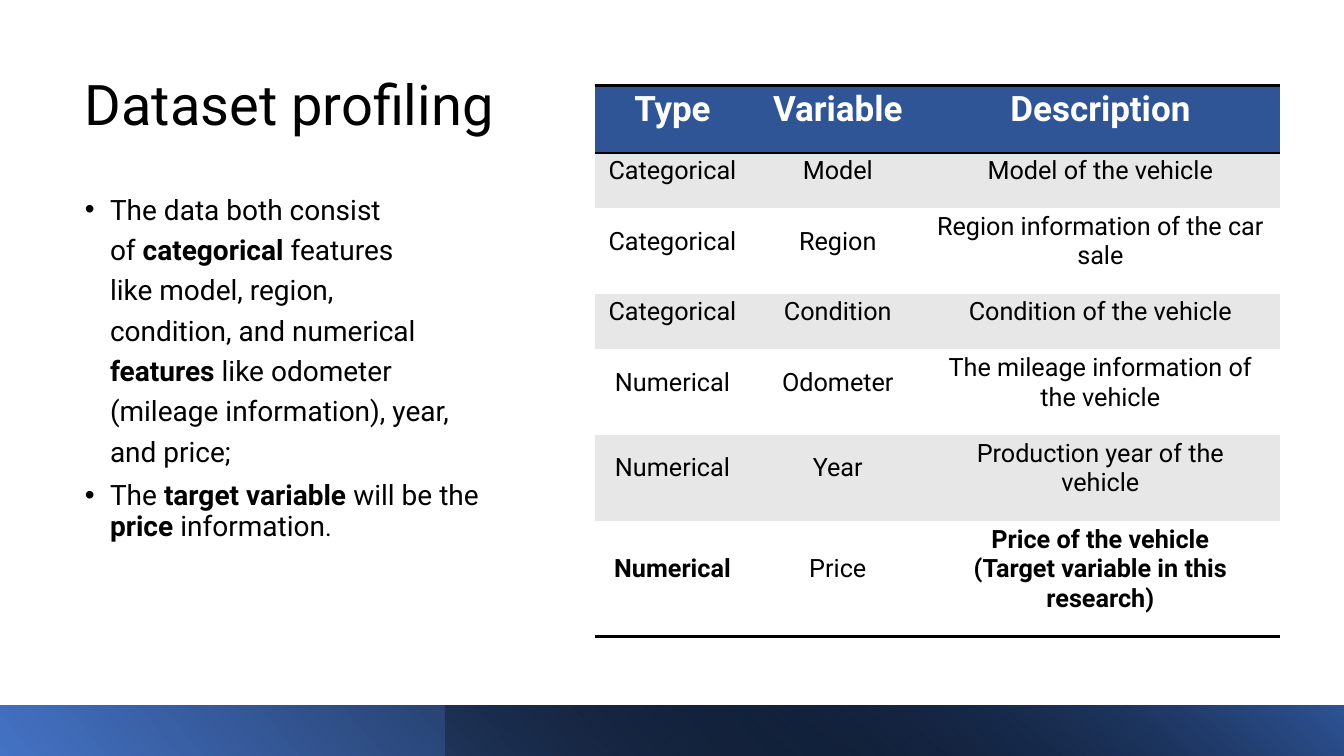
"""Build the dataset profiling slide: title, bullets, variable table and footer bars."""
from lxml import etree
from pptx import Presentation
from pptx.dml.color import RGBColor
from pptx.enum import shapes, text
from pptx.oxml import ns
from pptx.util import Pt

BLACK = RGBColor(0x00, 0x00, 0x00)
WHITE = RGBColor(0xFF, 0xFF, 0xFF)
NAVY = RGBColor(0x2F, 0x55, 0x97)
BLUE = RGBColor(0x44, 0x72, 0xC4)
GREY = RGBColor(0xE7, 0xE7, 0xE7)
FONT = "Roboto"
NBSP = chr(160)
NO_STYLE = "{2D5ABB26-0587-4C30-8999-92F81FD0307C}"

BULLETS = [
    (1.2, [(f"The data both consist of{NBSP}", False), ("categorical ", True),
           (f"features like{NBSP}model, region, condition,{NBSP}and numerical ", False),
           ("features", True),
           (f" like{NBSP}odometer (mileage{NBSP}information), year, and{NBSP}price;", False)]),
    (0.9, [("The ", False), ("target variable", True), (f"{NBSP}will be the ", False),
           (f"price{NBSP}", True), ("information", False), (".", False, 18)]),
]
COLUMNS = [114.5, 121.7, 253.4]
ROW_HEIGHTS = [45.4, 37.4, 57.6, 37.4, 61.2, 45.4, 77.8]
VARIABLES = [
    ("Type", "Variable", "Description"),
    ("Categorical", "Model", "Model of the vehicle"),
    ("Categorical", "Region", "Region information of the car sale"),
    ("Categorical", "Condition", "Condition of the vehicle"),
    ("Numerical", "Odometer", "The mileage information of the vehicle"),
    ("Numerical", "Year", "Production year of the vehicle"),
    ("Numerical", "Price", "Price of the vehicle\n(Target variable in this research)"),
]


def apply(obj, **values):
    """Set each given value as an attribute of the object."""
    for name, value in values.items():
        setattr(obj, name, value)


def style(r, size, color=BLACK, bold=False):
    """Format one run."""
    apply(r.font, name=FONT, size=Pt(size), bold=bold)
    r.font.color.rgb = color


def node(parent, tag, **attrs):
    """Append a DrawingML element and return it."""
    return etree.SubElement(parent, ns.qn(f"a:{tag}"), {k: str(v) for k, v in attrs.items()})


def add_textbox(s, left, top, width, height, anchor):
    """Add a wrapping text box and return its text frame."""
    tf = s.shapes.add_textbox(Pt(left), Pt(top), Pt(width), Pt(height)).text_frame
    apply(tf, word_wrap=True, vertical_anchor=anchor)
    return tf


def add_title(s, title):
    """Add the slide title."""
    p = add_textbox(s, 53.5, 38.5, 408.2, 63.4, text.MSO_ANCHOR.BOTTOM).paragraphs[0]
    p.line_spacing = 0.9
    r = p.add_run()
    r.text = title
    style(r, 40)


def add_bullets(s, bullets):
    """Add the bulleted text with its bold passages."""
    tf = add_textbox(s, 53.5, 128.9, 320.4, 167, text.MSO_ANCHOR.TOP)
    for i, (spacing, runs) in enumerate(bullets):
        p = tf.add_paragraph() if i else tf.paragraphs[0]
        apply(p, line_spacing=spacing, space_before=Pt(10))
        pPr = p._p.get_or_add_pPr()
        pPr.set("marL", str(Pt(18)))
        pPr.set("indent", str(-Pt(18)))
        node(pPr, "buFont", typeface="Arial")
        node(pPr, "buChar", char="•")
        for words, bold, *size in runs:
            r = p.add_run()
            r.text = words
            style(r, size[0] if size else 20, bold=bold)


def add_bar(s, left, width, stops, angle, rotation=0):
    """Add a mirrored footer bar with a gradient of (position, colour, alpha) stops."""
    sp = s.shapes.add_shape(shapes.MSO_SHAPE.RECTANGLE, Pt(left), Pt(504), Pt(width), Pt(36))
    sp.shadow.inherit = False
    sp.line.fill.background()
    sp.rotation = rotation
    spPr = sp.element.spPr
    spPr.get_or_add_xfrm().set("flipH", "1")
    grad = etree.Element(ns.qn("a:gradFill"), rotWithShape="1")
    stop_list = node(grad, "gsLst")
    for position, color, alpha in stops:
        clr = node(node(stop_list, "gs", pos=position * 1000), "srgbClr", val=color)
        if alpha < 100:
            node(clr, "alpha", val=alpha * 1000)
    node(grad, "lin", ang=angle * 60000, scaled=0)
    spPr.find(ns.qn("a:prstGeom")).addnext(grad)


def add_border(cell, sides):
    """Draw 2 pt black lines on the given sides of a cell."""
    tcPr = cell._tc.get_or_add_tcPr()
    for i, side in enumerate(sides):
        ln = etree.Element(ns.qn(f"a:ln{side}"), w=str(Pt(2)))
        node(node(ln, "solidFill"), "srgbClr", val=str(BLACK))
        tcPr.insert(i, ln)


def fill_cell(cell, words, fill, size, color, bold):
    """Write and format one table cell."""
    apply(cell, margin_left=Pt(7.6), margin_top=Pt(2.2), margin_right=Pt(11),
          margin_bottom=Pt(15.8), vertical_anchor=text.MSO_ANCHOR.MIDDLE)
    cell.fill.solid()
    cell.fill.fore_color.rgb = fill
    p = cell.text_frame.paragraphs[0]
    apply(p, text=words, alignment=text.PP_ALIGN.CENTER)
    for r in p.runs:
        style(r, size, color, bold)


def add_variable_table(s, rows):
    """Add the banded table of variables."""
    frame = s.shapes.add_table(len(rows), len(COLUMNS), Pt(424.8), Pt(61.2),
                               Pt(sum(COLUMNS)), Pt(sum(ROW_HEIGHTS)))
    table = frame.table
    apply(table, first_row=False, horz_banding=False)
    table._tbl.tblPr.find(ns.qn("a:tableStyleId")).text = NO_STYLE
    for column, width in zip(table.columns, COLUMNS):
        column.width = Pt(width)
    last = len(rows) - 1
    for i, words in enumerate(rows):
        table.rows[i].height = Pt(ROW_HEIGHTS[i])
        for j, word in enumerate(words):
            cell = table.cell(i, j)
            if i == 0:
                fill_cell(cell, word, NAVY, 25, WHITE, True)
                add_border(cell, "TB")
            else:
                fill_cell(cell, word, GREY if i % 2 else WHITE, 18, BLACK, i == last and j != 1)
            if i == last:
                add_border(cell, "B")


def main():
    """Build and save the slide."""
    prs = Presentation()
    apply(prs, slide_width=Pt(960), slide_height=Pt(540))
    s = prs.slides.add_slide(prs.slide_layouts[6])
    add_title(s, "Dataset profiling")
    add_bullets(s, BULLETS)
    add_bar(s, 0, 960, [(0, BLUE, 100), (85, BLACK, 100)], 40, rotation=180)
    add_bar(s, 318, 642, [(0, BLACK, 26), (100, NAVY, 100)], 230)
    add_variable_table(s, VARIABLES)
    prs.save("out.pptx")


if __name__ == "__main__":
    main()
